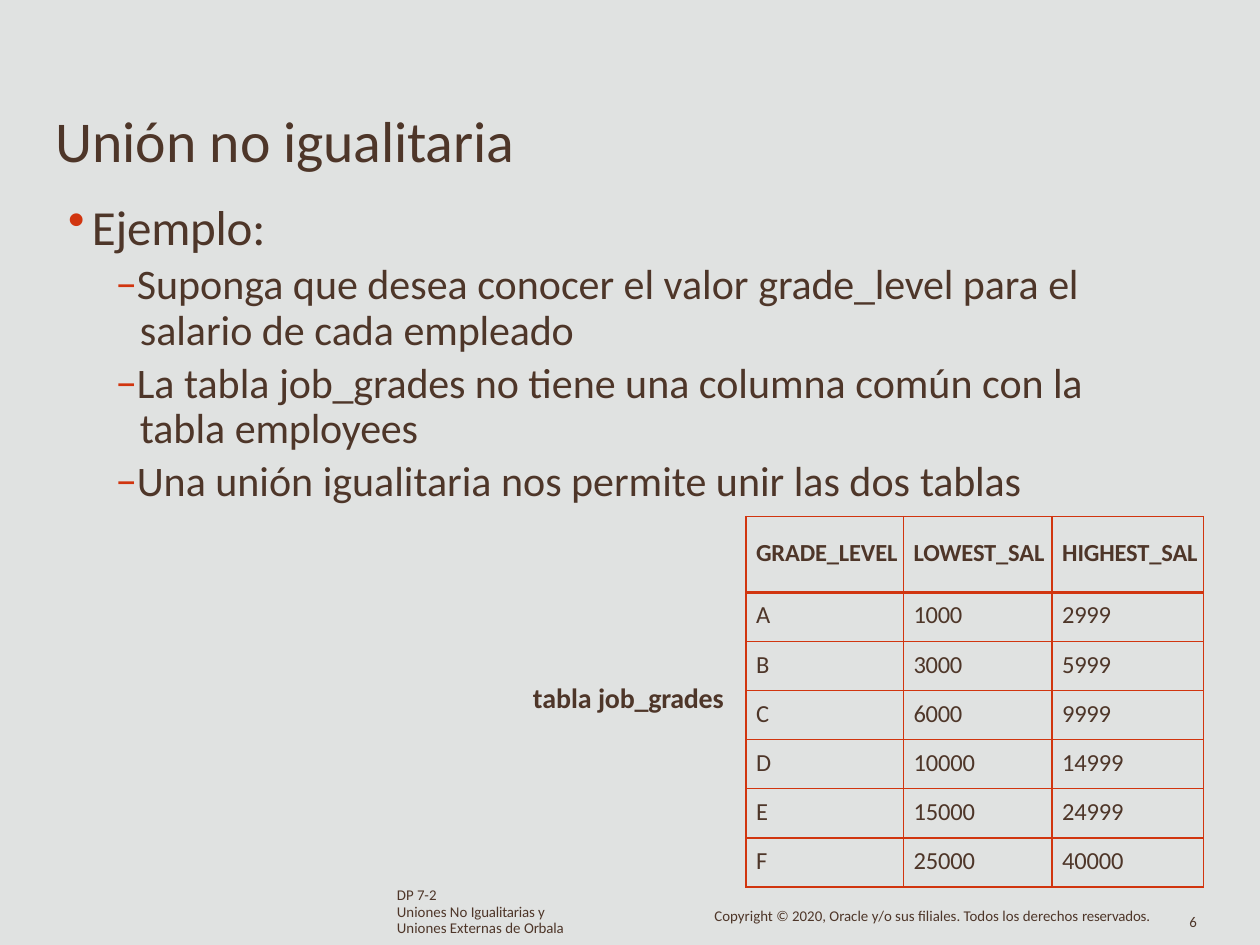
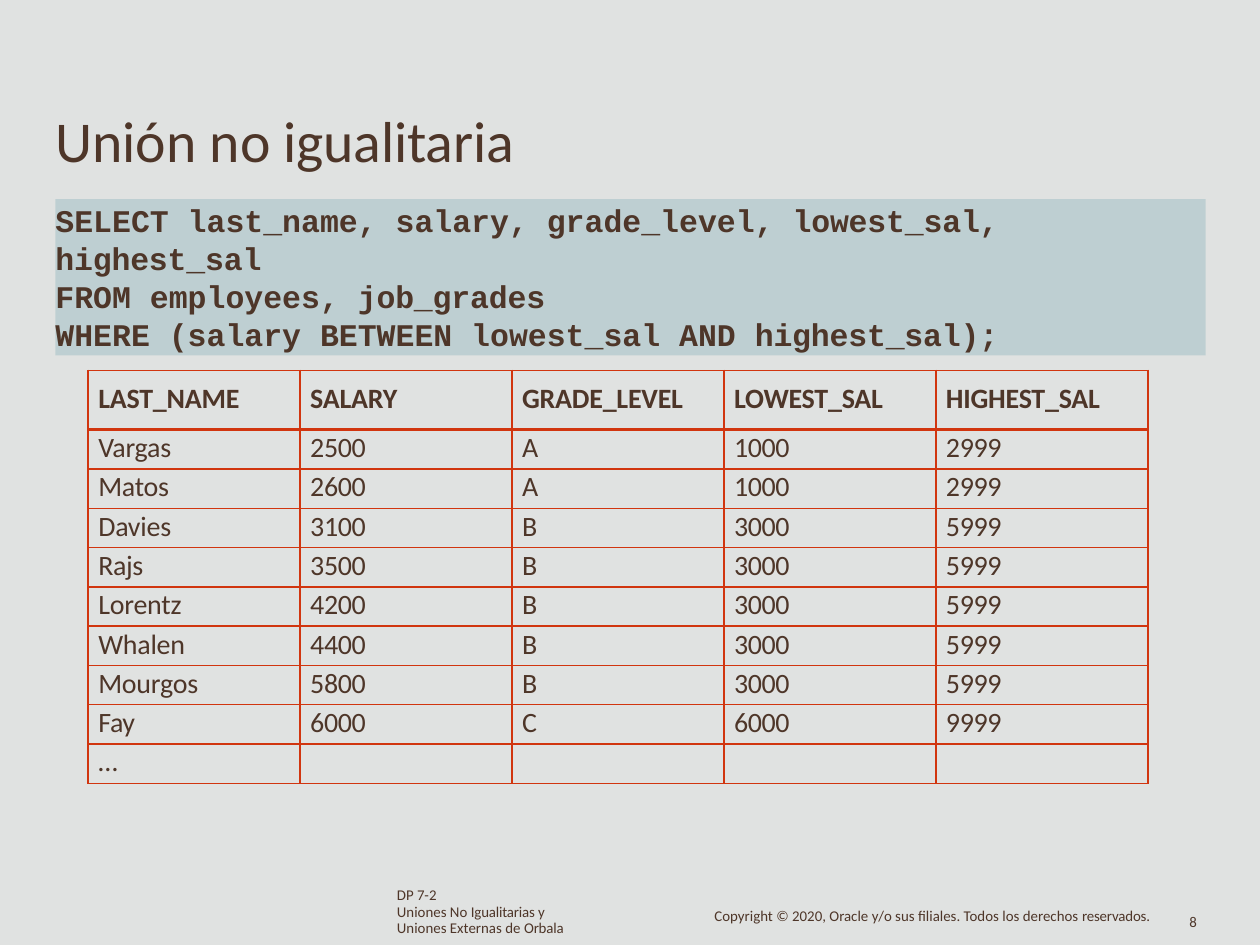
"""Build two slides on non-equijoins, with their grade and salary tables."""
from dataclasses import dataclass
from typing import NamedTuple

from lxml import etree
from pptx import Presentation
from pptx.dml.color import RGBColor
from pptx.enum.shapes import MSO_SHAPE
from pptx.enum.text import MSO_ANCHOR
from pptx.oxml.ns import qn
from pptx.util import Emu, Inches, Pt

RECT = MSO_SHAPE.RECTANGLE
TOP, MIDDLE = MSO_ANCHOR.TOP, MSO_ANCHOR.MIDDLE

PAPER = RGBColor(0xE0, 0xE2, 0xE1)
INK = RGBColor(0x4E, 0x36, 0x29)
RED = RGBColor(0xD1, 0x35, 0x0F)
CODE_FILL = RGBColor(0x9D, 0xBE, 0xC4)
BODY_FONT, CODE_FONT = "Calibri", "Courier New"

SLIDE_W, SLIDE_H = Inches(10), Inches(7.5)
CELL_INDENT = Pt(5.8)
THIN, THICK = Pt(1), Pt(2.25)


def across(percent: float) -> Emu:
    """Turn a percentage of the slide's width into a length."""
    return Emu(round(SLIDE_W * percent / 100))


def down(percent: float) -> Emu:
    """Turn a percentage of the slide's height into a length."""
    return Emu(round(SLIDE_H * percent / 100))


class Box(NamedTuple):
    """A place in percentages of the slide's width and height."""
    left: float
    top: float
    width: float
    height: float

    def lengths(self) -> tuple[Emu, Emu, Emu, Emu]:
        """Give left, top, width and height as lengths."""
        return across(self.left), down(self.top), across(self.width), down(self.height)


class Run(NamedTuple):
    """A piece of text with its tracking in points."""
    text: str
    track: float = 0
    color: RGBColor = INK


class Style(NamedTuple):
    """The type of a paragraph."""
    size: float
    font: str = BODY_FONT
    bold: bool = False


@dataclass(frozen=True)
class Para:
    """A paragraph with its spacing in points and indents in slide percentages."""
    runs: list[Run]
    style: Style
    line: float | None = None
    before: float = 0
    margin: float = 0
    hang: float = 0
    bullet: str = ""


@dataclass(frozen=True)
class Grid:
    """A table with column widths and row heights in slide percentages."""
    box: Box
    cols: list[float]
    head_height: float
    row_height: float
    size: float
    head_inset: float
    row_inset: float
    rows: list[list[str]]


TITLE = Style(33)
FOOTER = Style(8.5)
LEAD = Style(28)
POINT = Style(24)
LABEL = Style(16, bold=True)
CODE = Style(18, CODE_FONT, True)

TITLE_BOX = Box(4.3, 10.93, 69.5, 7.73)
COURSE_BOX = Box(31.4, 94, 13.5, 5.33)
COPYRIGHT_BOX = Box(56.6, 96.13, 35.2, 2)
NUMBER_BOX = Box(94.3, 96.13, 1.9, 2.67)
BODY_BOX = Box(5.3, 20.27, 81.2, 33.2)
LABEL_BOX = Box(42.2, 71.87, 15.6, 3.87)
CODE_BOX = Box(4.4, 21.07, 91.3, 16.53)

TITLE_TEXT = [Para([Run("Unión no "), Run("igualitaria", -0.1)], TITLE, margin=0.1)]
COURSE_TEXT = [
    Para([Run("DP "), Run("7-", -0.1), Run("2", -0.5)], FOOTER, 8.6, margin=0.1),
    Para([Run("Uniones No "), Run("Igualitarias ", -0.1), Run("y ", -0.5),
          Run("Uniones Externas de "), Run("Orbala", -0.1)], FOOTER, 9.2, 0.6, 0.1),
]
COPYRIGHT_TEXT = [
    Para([Run("Copyright © 2020, Oracle y/o sus filiales. Todos los derechos "),
          Run("reservados.", -0.1)], FOOTER, 9.1, margin=0.1),
]
POINTS = [
    [Run("Suponga que desea conocer el valor "), Run("grade_level ", -0.1), Run("para "),
     Run("el ", -0.2), Run("salario de cada "), Run("empleado", -0.1)],
    [Run("La tabla "), Run("job_grades ", -0.1), Run("no tiene una columna común con"),
     Run(" la ", -0.2), Run("tabla "), Run("employees", -0.1)],
    [Run("Una unión igualitaria nos permite unir las dos "), Run("tablas", -0.1)],
]
BODY_TEXT = [
    Para([Run("Ejemplo:", -0.1)], LEAD, margin=2, hang=1.9, bullet="•"),
    *(Para([Run("−", color=RED), *runs], POINT, 25.9, 4.4, 5.8, 1.9) for runs in POINTS),
]
LABEL_TEXT = [Para([Run("tabla "), Run("job_grades", -0.1)], LABEL, margin=0.1)]
CODE_LINES = [
    [Run("SELECT last_name, salary, grade_level, "), Run("lowest_sal,", -0.1)],
    [Run("highest_sal", -0.1)],
    [Run("FROM employees, "), Run("job_grades", -0.1)],
    [Run("WHERE (salary BETWEEN lowest_sal AND "), Run("highest_sal);", -0.1)],
]
CODE_TEXT = [Para(runs, CODE, 21.7) for runs in CODE_LINES]

JOB_GRADES = Grid(
    Box(59.2, 54.67, 36.3, 39.2), [12.5, 11.8, 12], 8, 5.2, 14, 12.3, 4.8,
    [["GRADE_LEVEL", "LOWEST_SAL", "HIGHEST_SAL"],
     ["A", "1000", "2999"],
     ["B", "3000", "5999"],
     ["C", "6000", "9999"],
     ["D", "10000", "14999"],
     ["E", "15000", "24999"],
     ["F", "25000", "40000"]],
)
SALARY_GRADES = Grid(
    Box(7, 39.2, 84.1, 43.7), [16.82] * 5, 6.27, 4.16, 16, 6.3, 0.7,
    [["LAST_NAME", "SALARY", "GRADE_LEVEL", "LOWEST_SAL", "HIGHEST_SAL"],
     ["Vargas", "2500", "A", "1000", "2999"],
     ["Matos", "2600", "A", "1000", "2999"],
     ["Davies", "3100", "B", "3000", "5999"],
     ["Rajs", "3500", "B", "3000", "5999"],
     ["Lorentz", "4200", "B", "3000", "5999"],
     ["Whalen", "4400", "B", "3000", "5999"],
     ["Mourgos", "5800", "B", "3000", "5999"],
     ["Fay", "6000", "C", "6000", "9999"],
     ["…", "", "", "", ""]],
)


def add_runs(p, runs: list[Run], style: Style) -> None:
    """Add styled runs to a paragraph."""
    for run in runs:
        r = p.add_run()
        r.text = run.text
        r.font.name, r.font.size, r.font.bold = style.font, Pt(style.size), style.bold
        r.font.color.rgb = run.color
        if run.track:
            r.font._element.set("spc", str(round(run.track * 100)))


def write(tf, paras: list[Para], anchor=TOP) -> None:
    """Fill a text frame with paragraphs."""
    tf.word_wrap = True
    tf.vertical_anchor = anchor
    tf.margin_left = tf.margin_top = tf.margin_right = tf.margin_bottom = 0
    for i, para in enumerate(paras):
        p = tf.add_paragraph() if i else tf.paragraphs[0]
        pPr = p._p.get_or_add_pPr()
        pPr.set("marL", str(across(para.margin)))
        pPr.set("indent", str(-across(para.hang)))
        pPr.set("algn", "l")
        if para.bullet:
            color = etree.SubElement(pPr, qn("a:buClr"))
            etree.SubElement(color, qn("a:srgbClr"), val=str(RED))
            etree.SubElement(pPr, qn("a:buChar"), char=para.bullet)
        if para.line:
            p.line_spacing = Pt(para.line)
        if para.before:
            p.space_before = Pt(para.before)
        add_runs(p, para.runs, para.style)


def add_text(s, box: Box, paras: list[Para], inset: float = 0) -> None:
    """Add a text box with a top inset in points."""
    tf = s.shapes.add_textbox(*box.lengths()).text_frame
    write(tf, paras)
    tf.margin_top = Pt(inset)


def add_code(s) -> None:
    """Add the query on its half-transparent panel."""
    sp = s.shapes.add_shape(RECT, *CODE_BOX.lengths())
    sp.shadow.inherit = False
    sp.fill.solid()
    sp.fill.fore_color.rgb = CODE_FILL
    color = sp._element.spPr.find(".//" + qn("a:srgbClr"))
    etree.SubElement(color, qn("a:alpha"), val="50000")
    sp.line.fill.background()
    write(sp.text_frame, CODE_TEXT, MIDDLE)


def set_borders(cell, top: int, bottom: int) -> None:
    """Draw the four red borders of a cell."""
    tcPr = cell._tc.get_or_add_tcPr()
    for side, width in (("L", THIN), ("R", THIN), ("T", top), ("B", bottom)):
        ln = etree.SubElement(tcPr, qn(f"a:ln{side}"), w=str(width))
        fill = etree.SubElement(ln, qn("a:solidFill"))
        etree.SubElement(fill, qn("a:srgbClr"), val=str(RED))


def cell_track(text: str) -> float:
    """Choose the tracking of a cell by the length of its text."""
    if len(text) == 1:
        return -0.5
    return -0.2 if len(text) <= 4 else -0.1


def add_grid(s, grid: Grid) -> None:
    """Add a table with a bold header row."""
    shape = s.shapes.add_table(len(grid.rows), len(grid.cols), *grid.box.lengths())
    table = shape.table
    table.first_row = table.horz_banding = False
    for col, width in zip(table.columns, grid.cols):
        col.width = across(width)
    for i, texts in enumerate(grid.rows):
        head = i == 0
        table.rows[i].height = down(grid.head_height if head else grid.row_height)
        for j, text in enumerate(texts):
            cell = table.cell(i, j)
            set_borders(cell, THICK if i == 1 else THIN, THICK if head else THIN)
            cell.fill.background()
            cell.vertical_anchor = TOP
            cell.margin_left = CELL_INDENT
            cell.margin_right = cell.margin_bottom = 0
            cell.margin_top = Pt(grid.head_inset if head else grid.row_inset)
            if text:
                add_runs(cell.text_frame.paragraphs[0], [Run(text, cell_track(text))],
                         Style(grid.size, bold=head))


def add_page(prs, number: int):
    """Add a slide with the shared title and footers."""
    s = prs.slides.add_slide(prs.slide_layouts[6])
    add_text(s, TITLE_BOX, TITLE_TEXT, 1)
    add_text(s, COURSE_BOX, COURSE_TEXT)
    add_text(s, COPYRIGHT_BOX, COPYRIGHT_TEXT)
    add_text(s, NUMBER_BOX, [Para([Run(str(number), -0.2)], FOOTER, margin=0.1)], 2.4)
    return s


def main() -> None:
    """Build and save the presentation."""
    prs = Presentation()
    prs.slide_width, prs.slide_height = SLIDE_W, SLIDE_H
    fill = prs.slide_master.background.fill
    fill.solid()
    fill.fore_color.rgb = PAPER

    s = add_page(prs, 6)
    add_text(s, BODY_BOX, BODY_TEXT, 2.7)
    add_text(s, LABEL_BOX, LABEL_TEXT, 0.9)
    add_grid(s, JOB_GRADES)

    s = add_page(prs, 8)
    add_grid(s, SALARY_GRADES)
    add_code(s)

    prs.save("out.pptx")


if __name__ == "__main__":
    main()
